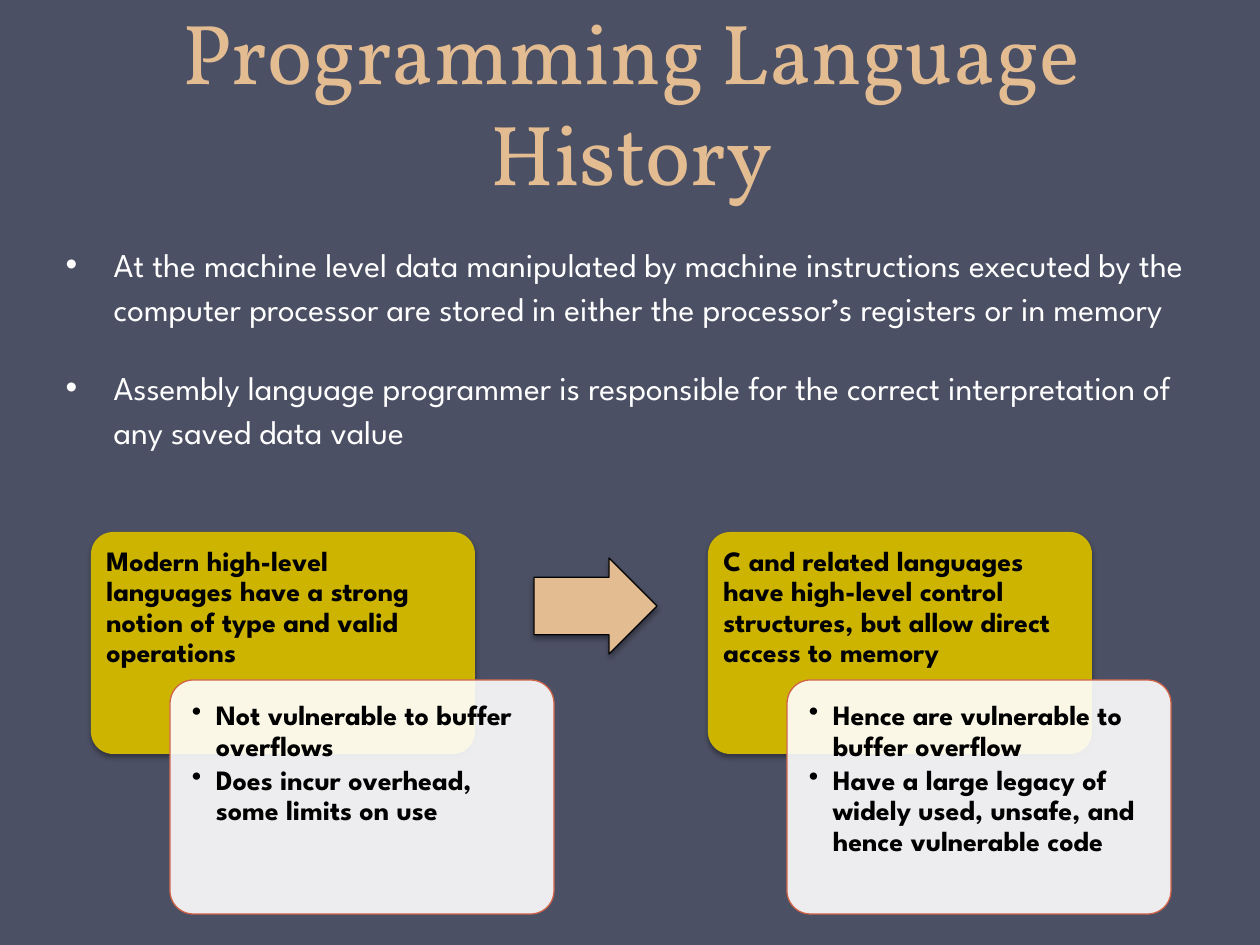
import pptx
import pptx.dml.color
import pptx.enum.shapes
import pptx.enum.text
import pptx.oxml
import pptx.oxml.ns
import pptx.util

RGBColor = pptx.dml.color.RGBColor
SLATE = RGBColor(0x4B, 0x50, 0x64)
SAND = RGBColor(0xE3, 0xBC, 0x92)
GOLD = RGBColor(0xCC, 0xB4, 0x00)
RUST = RGBColor(0xD1, 0x63, 0x49)
WHITE = RGBColor(0xFF, 0xFF, 0xFF)
BLACK = RGBColor(0, 0, 0)
SHAPES = pptx.enum.shapes.MSO_SHAPE
ALIGN = pptx.enum.text.PP_ALIGN
ANCHOR = pptx.enum.text.MSO_ANCHOR
SHADOW = (
    '<a:outerShdw {} blurRad="39370" dist="22860" dir="5400000" rotWithShape="0">'
    '<a:srgbClr val="000000"><a:alpha val="35000"/></a:srgbClr></a:outerShdw>'
).format(pptx.oxml.ns.nsdecls("a"))

BODY = [
    "At the machine level data manipulated by machine instructions executed by the computer "
    "processor are stored in either the processor’s registers or in memory",
    "Assembly language programmer is responsible for the correct interpretation of any saved data value",
]
CARDS = [
    (
        "Modern high-level languages have a strong notion of type and valid operations",
        ["Not vulnerable to buffer overflows", "Does incur overhead, some limits on use"],
    ),
    (
        "C and related languages have high-level control structures, but allow direct access to memory",
        ["Hence are vulnerable to buffer overflow",
         "Have a large legacy of widely used, unsafe, and hence vulnerable code"],
    ),
]
CARD_LEFT, CARD_TOP, CARD_STEP = 91, 532, 617


def px(length):
    return pptx.util.Emu(round(length * 914400 / 126))


class SlideBuilder:
    """Holds the text style and the current slide, and adds each kind of element."""

    title_font = "Vollkorn"
    text_font = "League Spartan"

    def __init__(self, page):
        self.page = page
        page.background.fill.solid()
        page.background.fill.fore_color.rgb = SLATE

    def place(self, box, left, top, width, height):
        box.left, box.top, box.width, box.height = map(px, (left, top, width, height))

    def set_text(self, box, lines, size, color, font=text_font, bold=False, align=ALIGN.LEFT,
                 anchor=ANCHOR.TOP, spacing=1.0, before=0, after=0, indent=0):
        frame = box.text_frame
        frame.text = "\n".join(lines)
        frame.word_wrap = True
        frame.auto_size = pptx.enum.text.MSO_AUTO_SIZE.NONE
        frame.vertical_anchor = anchor
        for para in frame.paragraphs:
            para.alignment = align
            para.line_spacing = spacing
            para.space_before = pptx.util.Pt(before)
            para.space_after = pptx.util.Pt(after)
            if indent:
                self.bullet(para, indent)
            for span in para.runs:
                span.font.name = font
                span.font.size = pptx.util.Pt(size)
                span.font.bold = bold
                span.font.color.rgb = color

    def bullet(self, para, indent):
        properties = para._p.get_or_add_pPr()
        properties.set("marL", str(px(indent)))
        properties.set("indent", str(-px(indent)))
        mark = pptx.oxml.parse_xml(f'<a:buChar {pptx.oxml.ns.nsdecls("a")} char="•"/>')
        properties.append(mark)

    def title(self, text, *bounds):
        box = self.page.shapes.title
        self.place(box, *bounds)
        self.set_text(box, [text], 48.6, SAND, self.title_font, align=ALIGN.CENTER,
                      anchor=ANCHOR.BOTTOM, spacing=pptx.util.Pt(58))

    def body(self, lines, *bounds):
        box = self.page.placeholders[1]
        self.place(box, *bounds)
        self.set_text(box, lines, 19, WHITE, spacing=1.1, before=14, after=6, indent=48)

    def shape(self, kind, bounds, adjustments, fill, line=None, shadow=False, opacity=100):
        box = self.page.shapes.add_shape(kind, *map(px, bounds))
        for index, value in enumerate(adjustments):
            box.adjustments[index] = value
        box.fill.solid()
        box.fill.fore_color.rgb = fill
        if opacity < 100:
            color = box._element.spPr.find(".//" + pptx.oxml.ns.qn("a:srgbClr"))
            color.append(pptx.oxml.parse_xml(
                f'<a:alpha {pptx.oxml.ns.nsdecls("a")} val="{opacity * 1000}"/>'))
        if line is None:
            box.line.fill.background()
        else:
            box.line.color.rgb = line
            box.line.width = pptx.util.Pt(0.75)
        box.shadow.inherit = False
        if shadow:
            effects = box._element.spPr.find(pptx.oxml.ns.qn("a:effectLst"))
            effects.append(pptx.oxml.parse_xml(SHADOW))
        return box

    def margins(self, box, size):
        frame = box.text_frame
        frame.margin_left = frame.margin_right = px(size)
        frame.margin_top = frame.margin_bottom = px(size)

    def card(self, left, top, heading, points):
        front = self.shape(SHAPES.ROUNDED_RECTANGLE, (left, top, 384, 222), [0.1], GOLD, shadow=True)
        self.margins(front, 9)
        self.set_text(front, [heading], 16, BLACK, bold=True, spacing=0.9, after=5.6)
        detail = self.shape(SHAPES.ROUNDED_RECTANGLE, (left + 79, top + 148, 384, 234), [0.1],
                            WHITE, line=RUST, opacity=90)
        self.margins(detail, 15)
        self.set_text(detail, points, 16, BLACK, bold=True, spacing=0.9, after=2.4, indent=24)

    def arrow(self, *bounds):
        self.shape(SHAPES.RIGHT_ARROW, bounds, [0.6, 0.5], SAND, line=BLACK, shadow=True)


def main():
    deck = pptx.Presentation()
    deck.slide_width, deck.slide_height = px(1260), px(945)
    slide = SlideBuilder(deck.slides.add_slide(deck.slide_layouts[1]))
    slide.title("Programming Language History", 64, 16, 1134, 193)
    slide.body(BODY, 53, 234, 1144, 260)
    for index, (heading, points) in enumerate(CARDS):
        slide.card(CARD_LEFT + index * CARD_STEP, CARD_TOP, heading, points)
    slide.arrow(534, 558, 123, 96)
    deck.save("out.pptx")


if __name__ == "__main__":
    main()
